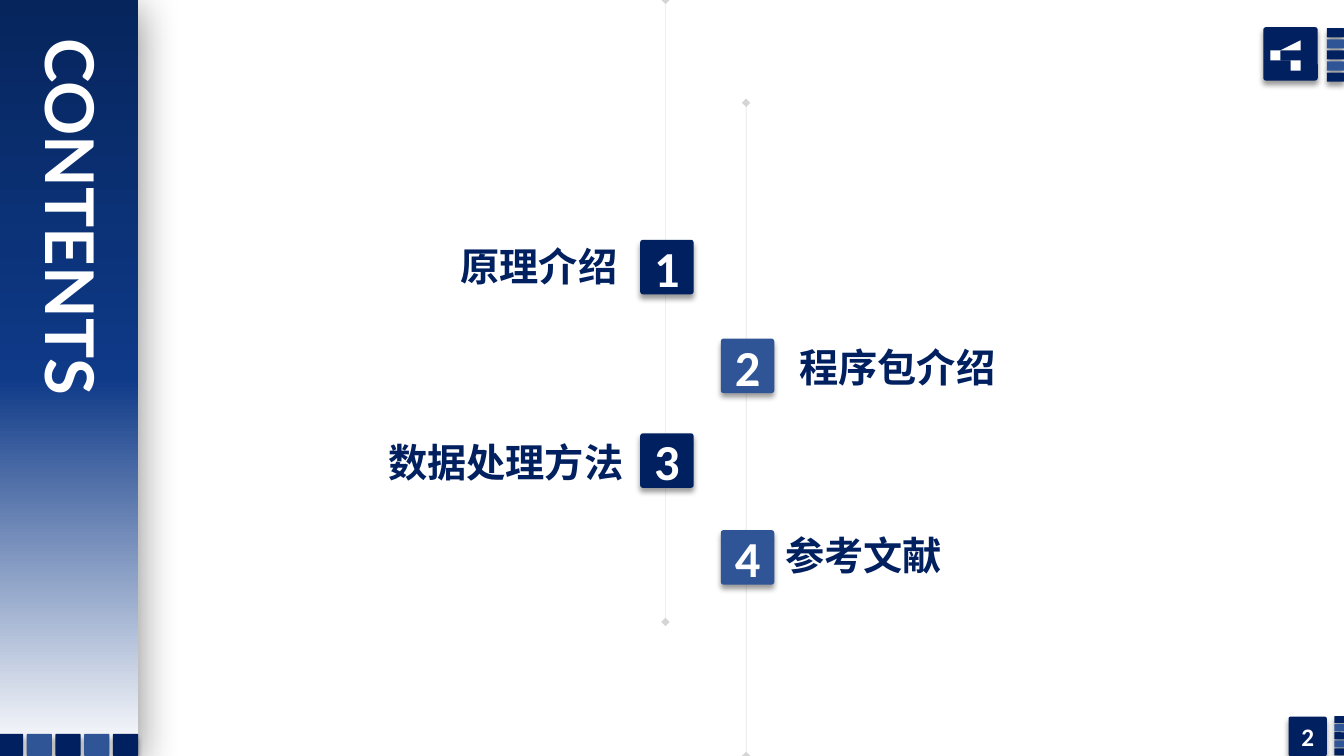
from copy import deepcopy
from dataclasses import dataclass
from math import cos, radians, sin

from lxml.etree import SubElement
from pptx import Presentation
from pptx.dml.color import RGBColor
from pptx.enum.shapes import MSO_CONNECTOR, MSO_SHAPE
from pptx.enum.text import MSO_ANCHOR, MSO_AUTO_SIZE, PP_ALIGN
from pptx.oxml.ns import qn
from pptx.util import Inches, Pt


@dataclass(frozen=True)
class Theme:
    """Colours, fonts and type sizes of the slide."""
    navy: str = "002060"
    blue: str = "2F5597"
    white: str = "FFFFFF"
    gray: str = "808080"
    fade: tuple = ("06255D", "0F3A88", "FFFFFF")
    title: tuple = ("Lato", 48)
    digit: tuple = ("Calibri", 36)
    page: tuple = ("Calibri", 18)
    label: tuple = ("Noto Sans CJK SC", 28)
    soft: tuple = (40, 4, 3, 90)
    deep: tuple = (50, 31, 6, 97)


class Board:
    """Draws on one slide in grid cells a tenth of an inch wide."""

    def __init__(self, slide, theme):
        self.slide, self.theme = slide, theme

    def cells(self, *spots):
        return [Inches(spot / 10) for spot in spots]

    def shade(self, shape, look):
        alpha, blur, dist, angle = look
        shape.shadow.inherit = False
        effects = shape._element.spPr.find(qn("a:effectLst"))
        outer = SubElement(effects, qn("a:outerShdw"), blurRad=str(Pt(blur)), dist=str(Pt(dist)),
                           dir=str(angle * 60000), algn="t", rotWithShape="0")
        tint = SubElement(outer, qn("a:srgbClr"), val="000000")
        SubElement(tint, qn("a:alpha"), val=str(alpha * 1000))

    def letter(self, shape, text, style, color, align=PP_ALIGN.LEFT):
        line = shape.text_frame.paragraphs[0]
        line.alignment = align
        run = line.add_run()
        run.text = text
        font = run.font
        font.name, font.size, font.bold = style[0], Pt(style[1]), True
        font.color.rgb = RGBColor.from_string(color)
        SubElement(run._r.get_or_add_rPr(), qn("a:ea"), typeface=style[0])

    def text(self, box, text, style, color, align=PP_ALIGN.LEFT, upright=False):
        shape = self.slide.shapes.add_textbox(*self.cells(*box))
        frame = shape.text_frame
        frame.word_wrap = upright
        frame.auto_size = MSO_AUTO_SIZE.SHAPE_TO_FIT_TEXT
        if upright:
            frame._txBody.bodyPr.set("vert", "eaVert")
        self.letter(shape, text, style, color, align)

    def tile(self, box, color, text="", style=None):
        shape = self.slide.shapes.add_shape(MSO_SHAPE.ROUNDED_RECTANGLE, *self.cells(*box))
        shape.adjustments[0] = 0.05
        shape.fill.solid()
        shape.fill.fore_color.rgb = RGBColor.from_string(color)
        shape.line.fill.background()
        self.shade(shape, self.theme.soft)
        if text:
            shape.text_frame.vertical_anchor = MSO_ANCHOR.MIDDLE
            self.letter(shape, text, style, self.theme.white, PP_ALIGN.CENTER)

    def stripes(self, left, top, width, height, across=0, down=0):
        for step in range(5):
            color = self.theme.blue if step % 2 else self.theme.navy
            self.tile((left + step * across, top + step * down, width, height), color)

    def band(self, box):
        shape = self.slide.shapes.add_shape(MSO_SHAPE.RECTANGLE, *self.cells(*box))
        shape.line.fill.background()
        fill = shape.fill
        fill.gradient()
        fill.gradient_angle = 270
        stops = shape._element.spPr.find(qn("a:gradFill")).find(qn("a:gsLst"))
        stops.append(deepcopy(stops[0]))
        for place, (stop, color) in enumerate(zip(fill.gradient_stops, self.theme.fade)):
            stop.color.rgb = RGBColor.from_string(color)
            stop.position = place / 2
        self.shade(shape, self.theme.deep)

    def rail(self, col, top, end):
        rail = self.slide.shapes.add_connector(MSO_CONNECTOR.STRAIGHT, *self.cells(col, top, col, end))
        rail.line.width = Pt(0.25)
        rail.line.color.rgb = RGBColor.from_string(self.theme.gray)
        props = rail._element.spPr
        SubElement(next(props.iter(qn("a:srgbClr"))), qn("a:alpha"), val="33000")
        for tip in ("a:headEnd", "a:tailEnd"):
            SubElement(props.find(qn("a:ln")), qn(tip), type="diamond")
        SubElement(props, qn("a:effectLst"))

    def share(self, arcs, radius):
        dots = [(col + radius * cos(radians(first + (last - first) * step / 24)),
                 row + radius * sin(radians(first + (last - first) * step / 24)))
                for col, row, first, last in arcs for step in range(25)]
        pen = self.slide.shapes.build_freeform(*dots[0], scale=Inches(0.1))
        pen.add_line_segments(dots[1:], close=True)
        icon = pen.convert_to_shape()
        icon.fill.solid()
        icon.fill.fore_color.rgb = RGBColor.from_string(self.theme.white)
        icon.line.fill.background()
        icon.shadow.inherit = False


def main():
    """Build the contents slide."""
    deck = Presentation()
    deck.slide_width, deck.slide_height = Inches(13.33), Inches(7.5)
    look = Theme()
    board = Board(deck.slides.add_slide(deck.slide_layouts[6]), look)

    board.rail(74, 10.2, 75)
    board.rail(66, 0, 61.7)
    board.band((0, 0, 13.7, 75))
    board.stripes(-0.2, 72.8, 2.5, 2.2, across=2.85)
    board.text((1.6, 2.8, 10.1, 49.4), "CONTENTS", look.title, look.white, upright=True)

    topics = [
        ("原理介绍", 23.8, (44.7, 23.5, 17.7), PP_ALIGN.LEFT),
        ("程序包介绍", 33.6, (76.9, 33.6, 22.8), PP_ALIGN.RIGHT),
        ("数据处理方法", 43, (37.2, 43, 25.6), PP_ALIGN.RIGHT),
        ("参考文献", 52.6, (76.9, 52.2, 17.7), PP_ALIGN.LEFT),
    ]
    for place, (topic, row, spot, align) in enumerate(topics):
        col, color = (71.5, look.blue) if place % 2 else (63.5, look.navy)
        board.tile((col, row, 5.3, 5.4), color, str(place + 1), look.digit)
        board.text((*spot, 5.7), topic, look.label, look.navy, align)

    board.stripes(132.35, 71.05, 1.2, 0.7, down=0.8)
    board.tile((127.8, 71.1, 3.8, 3.9), look.navy, "2", look.page)
    board.stripes(131.6, 2.8, 1.7, 0.9, down=1.1)
    board.tile((125.3, 2.7, 5.4, 5.3), look.navy)
    board.share([(129.05, 4.35, 168, 508), (126.85, 5.3, -12, 27),
                 (128.45, 6.45, 227, 567), (126.85, 5.3, 47, 328)], 0.45)
    deck.save("out.pptx")


if __name__ == "__main__":
    main()
